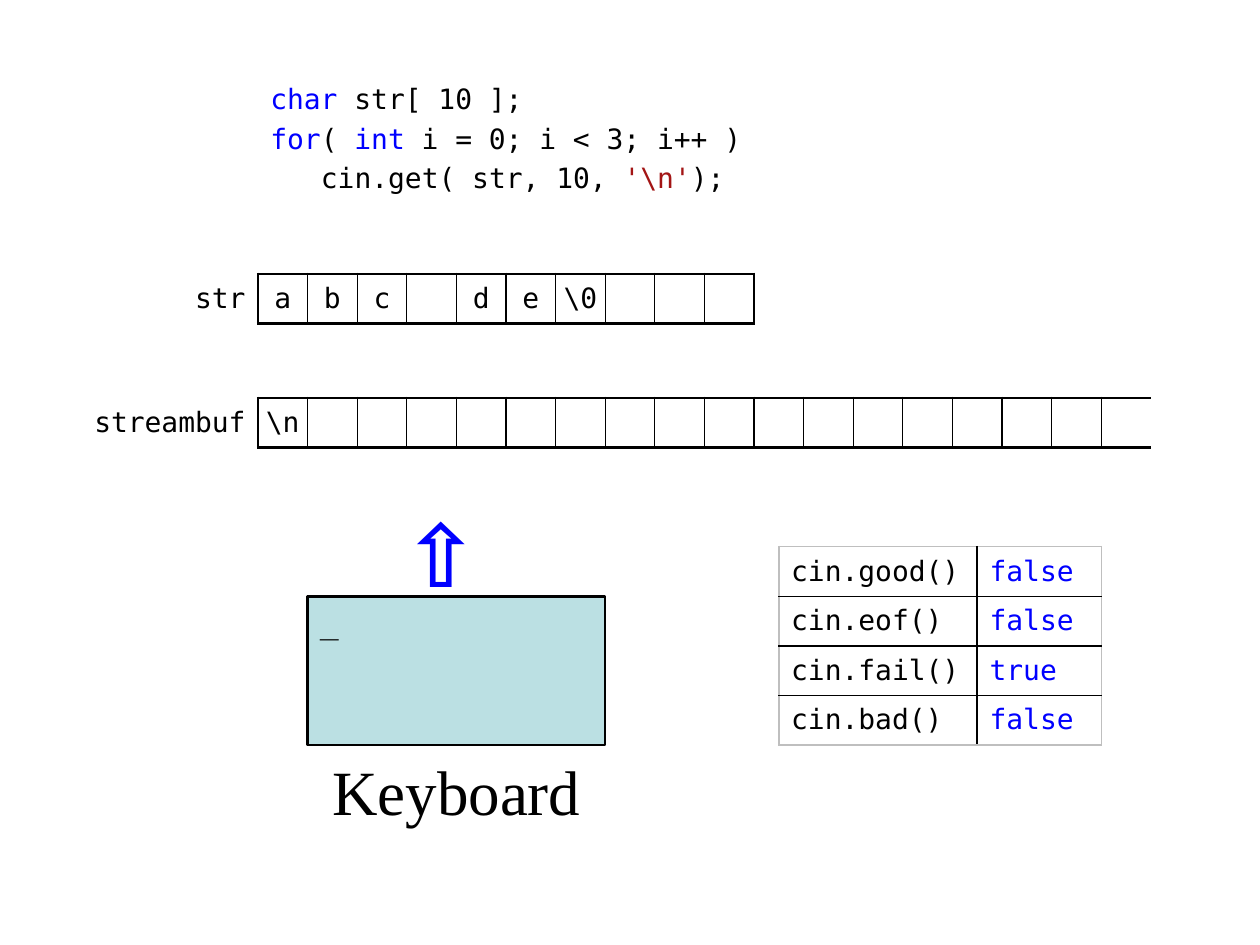
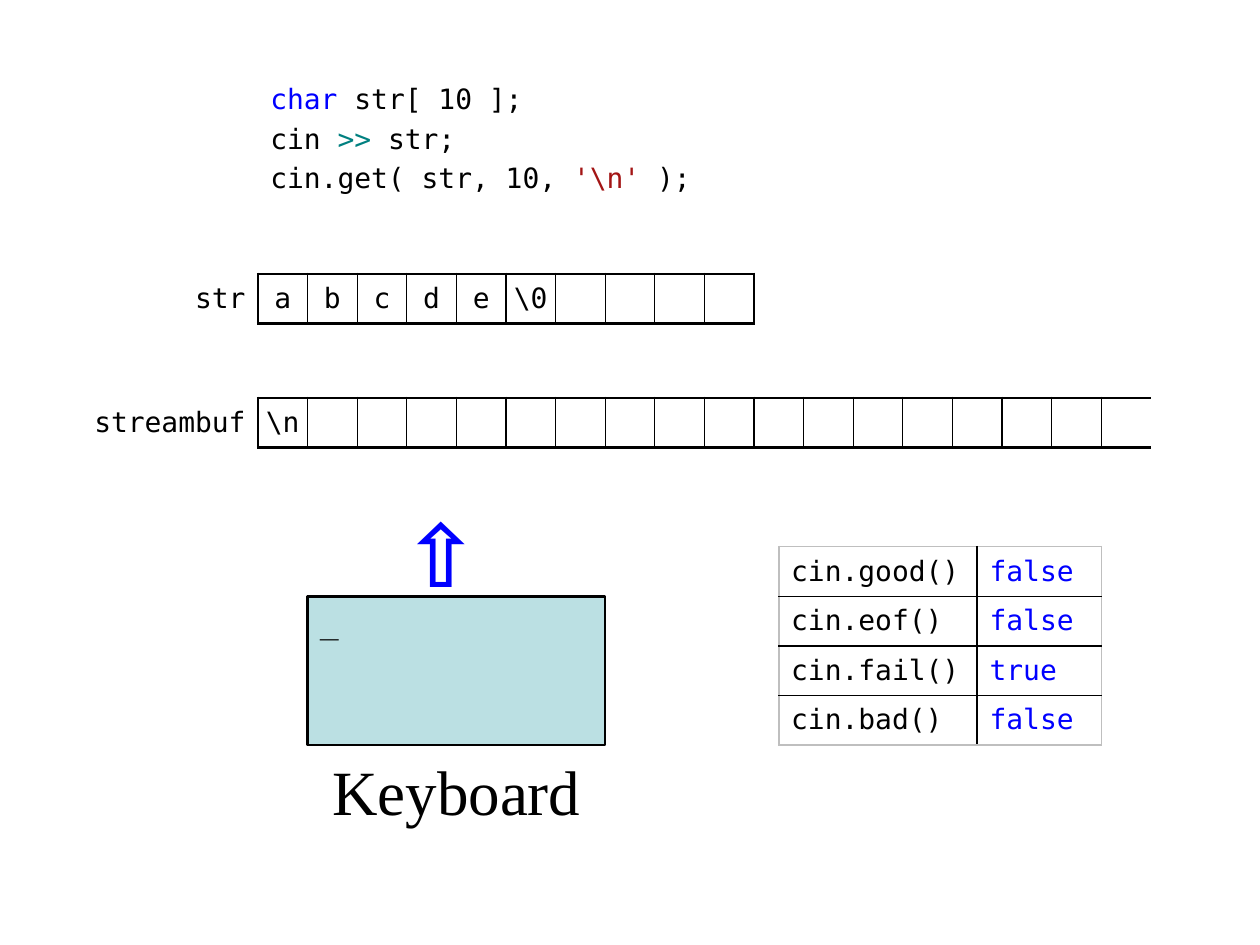
from dataclasses import dataclass

from lxml import etree
from pptx import Presentation
from pptx import util as u
from pptx.dml.color import RGBColor
from pptx.enum import shapes, text
from pptx.oxml.ns import qn


@dataclass(frozen=True)
class Theme:
    ink: str = "000000"
    keyword: str = "0000FF"
    operator: str = "008080"
    literal: str = "A31515"
    key_fill: str = "BBE0E3"
    frame: str = "BFBFBF"
    mono: str = "DejaVu Sans Mono"
    serif: str = "Times New Roman"
    symbol: str = "Courier New"
    code: int = 16
    prompt: int = 18
    caption: int = 36
    arrow: int = 66
    thin: float = 0.75
    rule: float = 1
    thick: float = 1.5
    plain_table: str = "{2D5ABB26-0587-4C30-8999-92F81FD0307C}"


T = Theme()
LEFT, CENTER, RIGHT = text.PP_ALIGN.LEFT, text.PP_ALIGN.CENTER, text.PP_ALIGN.RIGHT


def write(p, runs, align=LEFT, name=T.mono, size=T.code, bold=False):
    p.alignment = align
    for words, colour in runs:
        r = p.add_run()
        r.text = words
        for key, value in {"name": name, "size": u.Pt(size), "bold": bold}.items():
            setattr(r.font, key, value)
        r.font.color.rgb = RGBColor.from_string(colour)


def add_grid(s, left, top, widths, rows):
    gf = s.shapes.add_table(len(rows), len(widths), u.Cm(left), u.Cm(top),
                            u.Cm(sum(widths)), u.Cm(len(rows)))
    tbl = gf.table
    for key in ("first_row", "horz_banding"):
        setattr(tbl, key, False)
    gf._element.find(".//" + qn("a:tableStyleId")).text = T.plain_table
    for col, width in zip(tbl.columns, widths):
        col.width = u.Cm(width)
    for row, entries in zip(tbl.rows, rows):
        row.height = u.Cm(1)
        for cell, (words, colour, align, borders) in zip(row.cells, entries):
            fmt = {"margin_left": u.Cm(0.25 if align == LEFT else 0),
                   "margin_right": u.Cm(0.25 if align == RIGHT else 0),
                   "margin_top": 0, "margin_bottom": 0,
                   "vertical_anchor": text.MSO_ANCHOR.MIDDLE}
            for key, value in fmt.items():
                setattr(cell, key, value)
            if words:
                write(cell.text_frame.paragraphs[0], [(words, colour)], align)
            tcPr = cell._tc.get_or_add_tcPr()
            for side in "LRTB":
                if side in borders:
                    width, line_colour = borders[side]
                    ln = etree.SubElement(tcPr, qn("a:ln" + side), w=str(u.Pt(width)))
                    fill = etree.SubElement(ln, qn("a:solidFill"))
                    etree.SubElement(fill, qn("a:srgbClr"), val=line_colour)
            cell.fill.background()


SLIDES = [
    {"code": [
        (0, [("char ", T.keyword), ("str[ 10 ];", T.ink)]),
        (0, [("for", T.keyword), ("( ", T.ink), ("int", T.keyword),
             (" i = 0; i < 3; i++ )", T.ink)]),
        (1.02, [("cin.get( str, 10, ", T.ink), (r"'\n'", T.literal), (");", T.ink)])],
     "str": ["a", "b", "c", "", "d", "e", r"\0"]},
    {"code": [
        (0, [("char ", T.keyword), ("str[ 10 ];", T.ink)]),
        (0, [("cin ", T.ink), (">> ", T.operator), ("str;", T.ink)]),
        (0, [("cin.get( str, 10, ", T.ink), (r"'\n'", T.literal), (" );", T.ink)])],
     "str": ["a", "b", "c", "d", "e", r"\0"]},
]
STATES = [("cin.good()", "false"), ("cin.eof()", "false"),
          ("cin.fail()", "true"), ("cin.bad()", "false")]
GRID_LEFT = 5.2
HEAVY, LIGHT = (T.thick, T.ink), (T.thin, T.ink)
RULE, FRAME = (T.rule, T.ink), (T.rule, T.frame)

prs = Presentation()
prs.slide_width, prs.slide_height = u.Cm(25.4), u.Cm(19.05)
layout = prs.slide_layouts[1]

for content in SLIDES:
    s = prs.slides.add_slide(layout)
    title = s.shapes.title._element
    title.getparent().remove(title)

    sp = s.placeholders[1]
    box = {"left": GRID_LEFT, "top": 1.52, "width": 10, "height": 2.5}
    for key, value in box.items():
        setattr(sp, key, u.Cm(value))
    tf = sp.text_frame
    fmt = {"margin_left": u.Cm(0.25), "margin_right": u.Cm(0.2),
           "margin_top": u.Cm(0.13), "margin_bottom": u.Cm(0.13),
           "word_wrap": True, "auto_size": text.MSO_AUTO_SIZE.NONE}
    for key, value in fmt.items():
        setattr(tf, key, value)
    for i, (indent, runs) in enumerate(content["code"]):
        p = tf.add_paragraph() if i else tf.paragraphs[0]
        write(p, runs)
        pPr = p._p.get_or_add_pPr()
        pPr.set("marL", str(u.Cm(indent)))
        pPr.set("indent", "0")
        etree.SubElement(pPr, qn("a:buNone"))

    buffers = [("str", 1.5, 5.52, content["str"], 10, True),
               ("streambuf", 3.5, 8.02, [r"\n"], 18, False)]
    for name, label_width, top, letters, count, closed in buffers:
        cells = [(name, T.ink, RIGHT, {"R": HEAVY})]
        for i in range(count):
            borders = {"L": LIGHT if i else HEAVY, "R": LIGHT, "T": HEAVY, "B": HEAVY}
            if i == count - 1:
                borders.pop("R")
                if closed:
                    borders["R"] = HEAVY
            letter = letters[i] if i < len(letters) else ""
            cells.append((letter, T.ink, CENTER, borders))
        add_grid(s, GRID_LEFT - label_width, top, [label_width] + [1] * count, [cells])

    sp = s.shapes.add_shape(shapes.MSO_SHAPE.RECTANGLE, u.Cm(6.2), u.Cm(12.02),
                            u.Cm(6), u.Cm(3))
    sp.shadow.inherit = False
    sp.fill.solid()
    sp.fill.fore_color.rgb = RGBColor.from_string(T.key_fill)
    sp.line.color.rgb = RGBColor.from_string(T.ink)
    sp.line.width = u.Pt(T.thick)
    tf = sp.text_frame
    tf.vertical_anchor = text.MSO_ANCHOR.TOP
    write(tf.paragraphs[0], [("_", T.ink)], size=T.prompt)

    sp = s.shapes.add_textbox(u.Cm(8.2), u.Cm(9.52), u.Cm(2), u.Cm(2.5))
    tf = sp.text_frame
    tf.word_wrap = True
    for side in ("left", "right", "top", "bottom"):
        setattr(tf, "margin_" + side, 0)
    write(tf.paragraphs[0], [("⇧", T.keyword)], name=T.symbol, size=T.arrow, bold=True)

    rows = []
    for i, (call, state) in enumerate(STATES):
        edges = {"T": RULE if i else FRAME,
                 "B": RULE if i < len(STATES) - 1 else FRAME}
        rows.append([(call, T.ink, LEFT, {"L": FRAME, "R": RULE, **edges}),
                     (state, T.keyword, LEFT, {"L": RULE, "R": FRAME, **edges})])
    add_grid(s, 15.7, 11.02, [4, 2.5], rows)

sp = s.shapes.add_textbox(u.Cm(5.7), u.Cm(15.04), u.Cm(7), u.Cm(2.5))
sp.text_frame.word_wrap = True
write(sp.text_frame.paragraphs[0], [("Keyboard", T.ink)], CENTER, T.serif, T.caption)
layout.shapes._spTree.append(sp._element)

prs.save("out.pptx")
